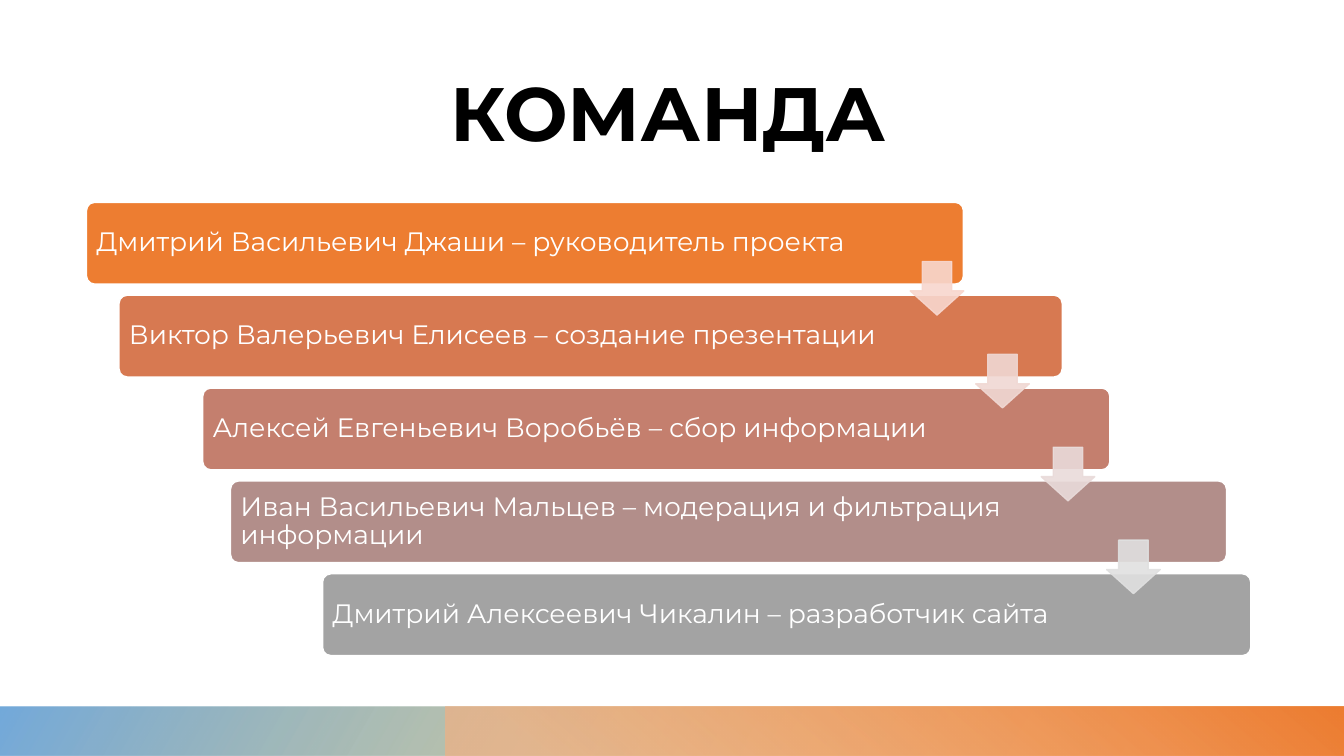
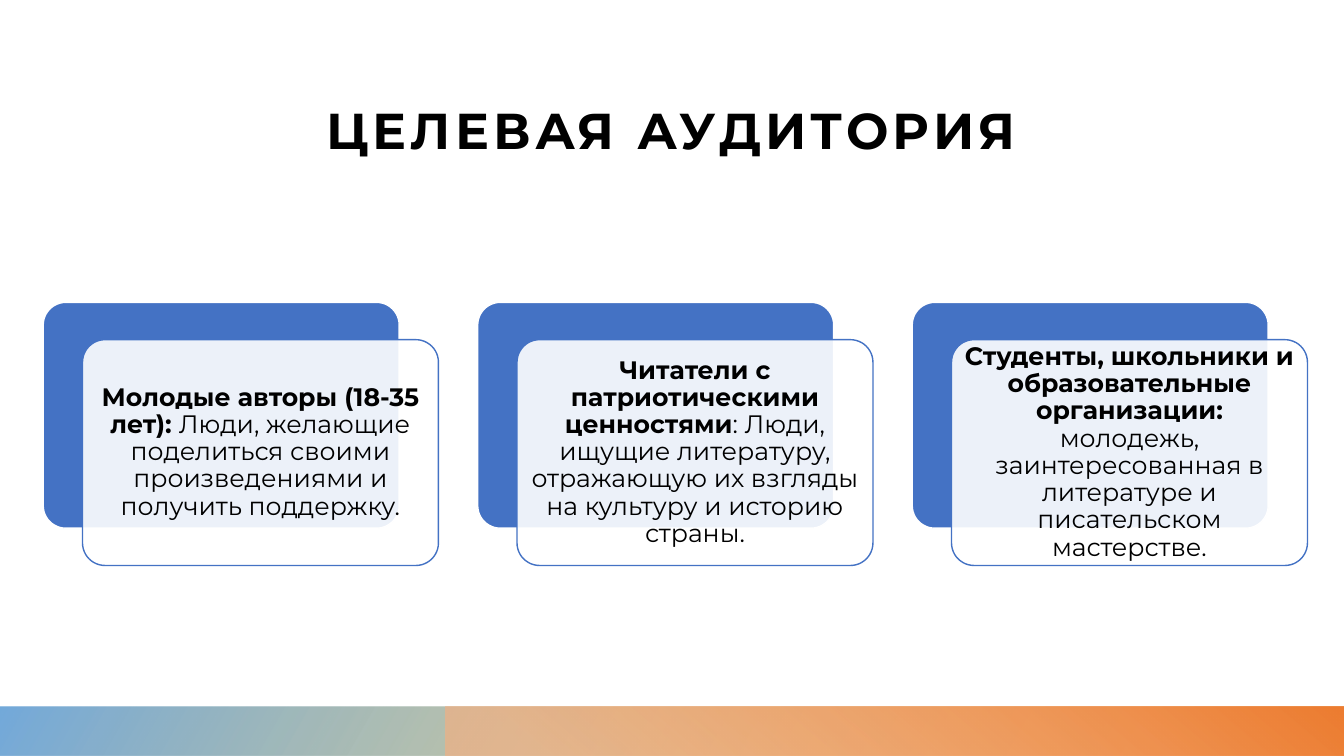
from pptx import Presentation
from pptx import util as u
from pptx.dml.color import RGBColor
from pptx.enum import shapes, text
from pptx.oxml.ns import qn
from lxml import etree

FONT = "Montserrat"
COLORS = {
    "white": "FFFFFF", "black": "000000", "blue": "4472C4",
    "gold": "CF9B00", "sky": "5B9BD5", "peach": "F4B183", "orange": "ED7D31",
}
RGB = {name: RGBColor.from_string(value) for name, value in COLORS.items()}


def add_box(s, kind, left, top, width, height, fill, line, adj=(), opacity=(100, 100)):
    sp = s.shapes.add_shape(kind, u.Cm(left), u.Cm(top), u.Cm(width), u.Cm(height))
    sp.shadow.inherit = False
    sp.fill.solid()
    sp.fill.fore_color.rgb = fill
    sp.line.color.rgb = line
    sp.line.width = u.Pt(1)
    for i, value in enumerate(adj):
        sp.adjustments[i] = value
    for clr, percent in zip(sp.element.iter(qn("a:srgbClr")), opacity):
        if percent < 100:
            etree.SubElement(clr, qn("a:alpha")).set("val", str(percent * 1000))
    return sp


def set_text(sp, parts, size, color, align, anchor, margins):
    tf = sp.text_frame
    tf.word_wrap = True
    tf.vertical_anchor = anchor
    tf.margin_left, tf.margin_top, tf.margin_right, tf.margin_bottom = map(u.Cm, margins)
    p = tf.paragraphs[0]
    p.alignment = align
    p.line_spacing = 0.9
    p.font.name = FONT
    p.font.size = u.Pt(size)
    p.font.color.rgb = color
    for words, bold in parts:
        r = p.add_run()
        r.text = words
        r.font.bold = bold


prs = Presentation()
prs.slide_width = u.Cm(33.87)
prs.slide_height = u.Cm(19.05)

titles = [
    ("КОМАНДА", 54, 3.58, 1.19, 0),
    ("ЦЕЛЕВАЯ АУДИТОРИЯ", 36, 3.66, 1.25, 3),
]
bands = [
    (0, 33.87, 180, 150, [("gold", 0.14, 28), ("sky", 1, 85)]),
    (11.22, 22.65, 0, 230, [("peach", 0.09, 68), ("orange", 0.99, 100)]),
]
for title, size, left, top, spacing in titles:
    s = prs.slides.add_slide(prs.slide_layouts[6])
    sp = add_box(s, shapes.MSO_SHAPE.RECTANGLE, 0, 0, 33.87, 19.05, RGB["white"], RGB["white"])
    sp.line.fill.background()
    sp = s.shapes.add_textbox(u.Cm(left), u.Cm(top), u.Cm(26.52), u.Cm(2.79))
    set_text(sp, [(title, True)], size, RGB["black"], text.PP_ALIGN.CENTER,
             text.MSO_ANCHOR.BOTTOM, (0, 0, 0, 0))
    for rpr in sp.element.iter(qn("a:rPr")):
        rpr.set("spc", str(spacing * 100))
    for left, width, rotation, angle, stops in bands:
        sp = s.shapes.add_shape(shapes.MSO_SHAPE.RECTANGLE, u.Cm(left), u.Cm(17.8),
                                u.Cm(width), u.Cm(1.25))
        sp.shadow.inherit = False
        sp.line.fill.background()
        sp.rotation = rotation
        sp.element.spPr.find(qn("a:xfrm")).set("flipH", "1")
        sp.fill.gradient()
        sp.fill.gradient_angle = 360 - angle
        for stop, (name, position, opacity) in zip(sp.fill.gradient_stops, stops):
            stop.color.rgb = RGB[name]
            stop.position = position
        for clr, (name, position, opacity) in zip(sp.element.iter(qn("a:srgbClr")), stops):
            etree.SubElement(clr, qn("a:alpha")).set("val", str(opacity * 1000))

team_slide, audience_slide = prs.slides

team = [
    ("Дмитрий Васильевич Джаши – руководитель проекта", 2.18, 22.1, "ED7D31"),
    ("Виктор Валерьевич Елисеев – создание презентации", 3, 23.77, "D77951"),
    ("Алексей Евгеньевич Воробьёв – сбор информации", 5.11, 22.86, "C47F6E"),
    ("Иван Васильевич Мальцев – модерация и фильтрация информации", 5.81, 25.1, "B28E8A"),
    ("Дмитрий Алексеевич Чикалин – разработчик сайта", 8.13, 23.39, "A3A3A3"),
]
step = 2.34
for i, (member, left, width, fill) in enumerate(team):
    sp = add_box(team_slide, shapes.MSO_SHAPE.ROUNDED_RECTANGLE, left, 5.1 + i * step,
                 width, 2.06, RGBColor.from_string(fill), RGB["white"], [0.1])
    set_text(sp, [(member, False)], 19, RGB["white"], text.PP_ALIGN.LEFT,
             text.MSO_ANCHOR.MIDDLE, (0.19, 0.2, 2.6, 0.2))
for i, fill in enumerate(["F8D7CE", "F0D8D3", "E9DBDA", "E0E0E0"]):
    tint = RGBColor.from_string(fill)
    add_box(team_slide, shapes.MSO_SHAPE.DOWN_ARROW, 22.94 + i * 1.65, 6.59 + i * step,
            1.35, 1.35, tint, tint, [0.55, 0.45], (90, 90))

audience = [
    ("Молодые авторы (18-35 лет): ",
     "Люди, желающие поделиться своими произведениями и получить поддержку."),
    ("Читатели с патриотическими ценностями",
     ": Люди, ищущие литературу, отражающую их взгляды на культуру и историю страны."),
    ("Студенты, школьники и образовательные организации: ",
     "молодежь, заинтересованная в литературе и писательском мастерстве."),
]
for i, (group, description) in enumerate(audience):
    left = 1.09 + i * 10.95
    add_box(audience_slide, shapes.MSO_SHAPE.ROUNDED_RECTANGLE, left, 7.62, 8.97, 5.69,
            RGB["blue"], RGB["white"], [0.1])
    sp = add_box(audience_slide, shapes.MSO_SHAPE.ROUNDED_RECTANGLE, left + 0.99, 8.56,
                 8.97, 5.69, RGB["white"], RGB["blue"], [0.1], (90, 100))
    set_text(sp, [(group, True), (description, False)], 18, RGB["black"],
             text.PP_ALIGN.CENTER, text.MSO_ANCHOR.MIDDLE, (0.17, 0.17, 0.17, 0.17))

prs.save("out.pptx")
